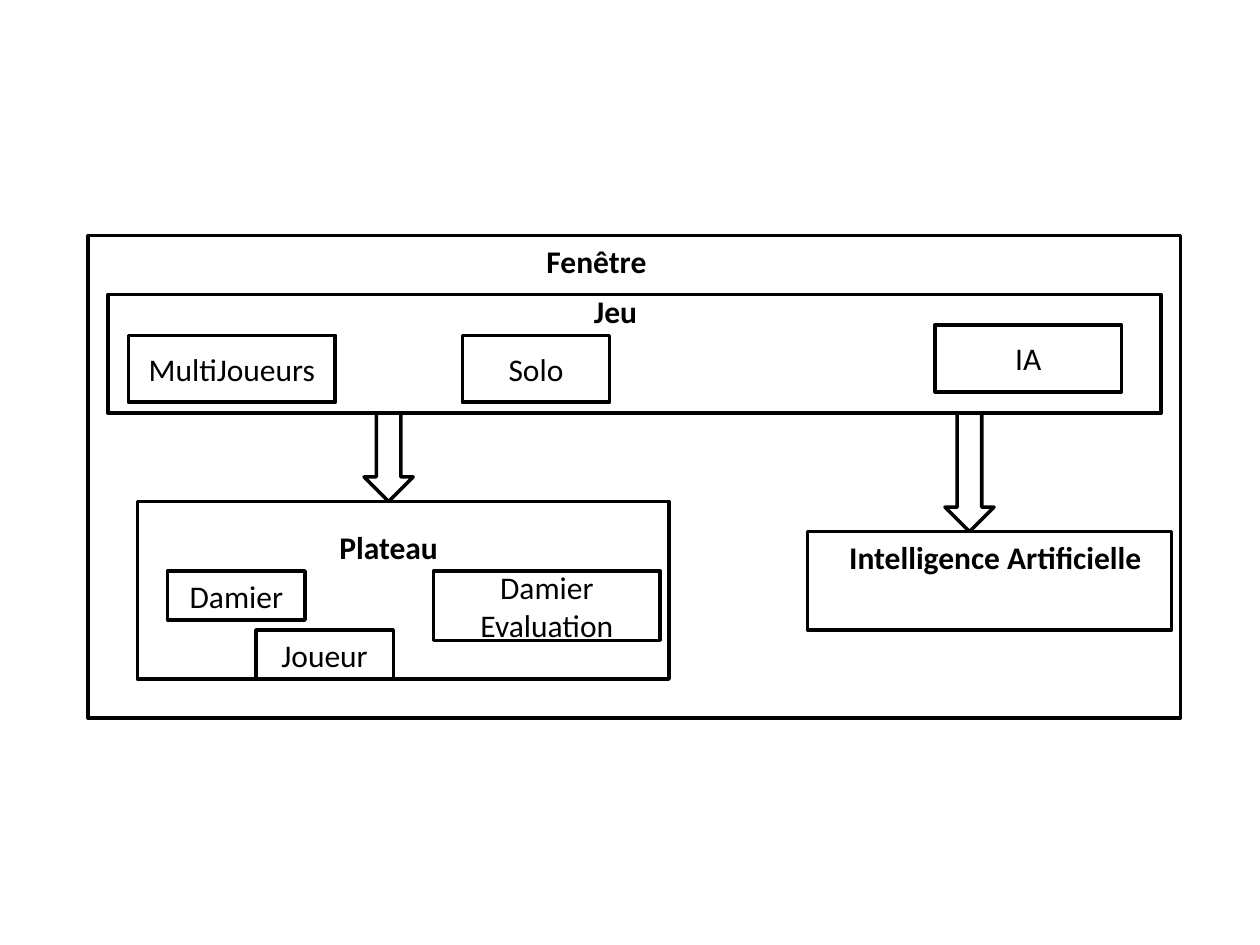
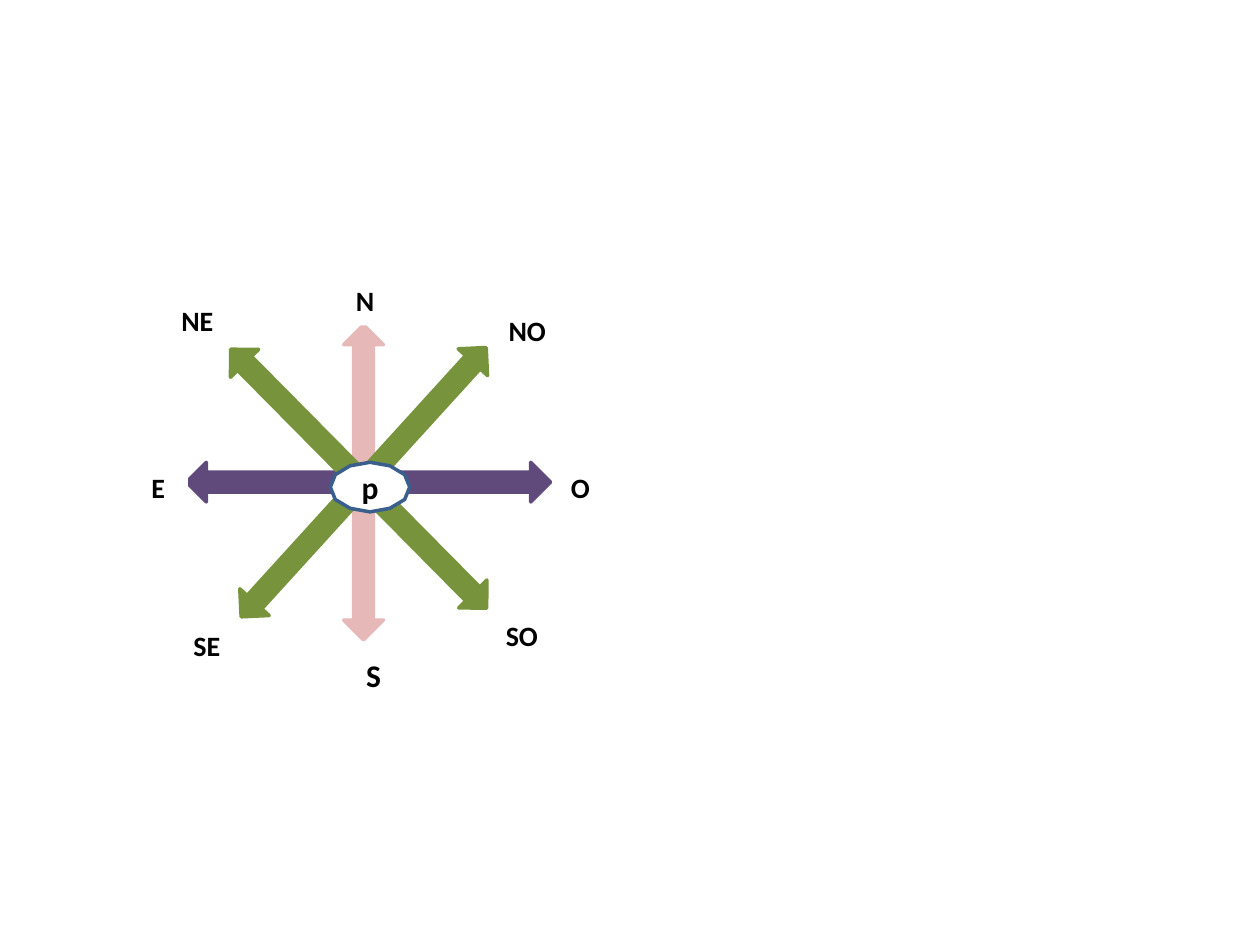
from pptx import Presentation
from pptx.dml.color import RGBColor
from pptx.enum.shapes import MSO_SHAPE
from pptx.enum.text import MSO_ANCHOR, PP_ALIGN
from pptx.util import Cm, Pt

BLACK, WHITE = "000000", "FFFFFF"
PURPLE, PINK, GREEN, BLUE = "604A7B", "E6B9B8", "77933C", "3A5F8C"
FONT = "Calibri"
LABEL_W, LABEL_H = 1.2, 1.0
ARROW_LENGTH, ARROW_WIDTH = 7.34, 0.8


def color(value):
    return RGBColor.from_string(value)


def write(tf, text, size=18, bold=False, align=PP_ALIGN.CENTER):
    p = tf.paragraphs[0]
    p.alignment = align
    r = p.add_run()
    r.text = text
    r.font.color.rgb = color(BLACK)
    for name, value in {"name": FONT, "size": Pt(size), "bold": bold}.items():
        setattr(r.font, name, value)


def add_figure(s, kind, box, fill=WHITE, line=BLACK, rotation=0):
    """Draw a preset shape; box is left, top, width, height in cm."""
    sp = s.shapes.add_shape(kind, *map(Cm, box))
    sp.shadow.inherit = False
    sp.rotation = rotation
    if fill:
        sp.fill.solid()
        sp.fill.fore_color.rgb = color(fill)
    else:
        sp.fill.background()
    if line:
        sp.line.color.rgb = color(line)
        sp.line.width = Pt(2)
    else:
        sp.line.fill.background()
    return sp


def add_node(s, box, text, size=18, bold=False, kind=MSO_SHAPE.RECTANGLE, **look):
    """Draw a shape with its text in the middle."""
    sp = add_figure(s, kind, box, **look)
    tf = sp.text_frame
    settings = {"margin_left": 0, "margin_right": 0, "margin_top": 0,
                "margin_bottom": 0, "word_wrap": True,
                "vertical_anchor": MSO_ANCHOR.MIDDLE}
    for name, value in settings.items():
        setattr(tf, name, value)
    write(tf, text, size, bold)
    return sp


def add_heading(s, left, top, width, text, align=PP_ALIGN.CENTER):
    tf = s.shapes.add_textbox(Cm(left), Cm(top), Cm(width), Cm(1.02)).text_frame
    tf.word_wrap = True
    write(tf, text, bold=True, align=align)


def build_architecture(s):
    # Window and game frames
    add_figure(s, MSO_SHAPE.RECTANGLE, (1.78, 4.75, 22.02, 9.73))
    add_heading(s, 8.85, 4.75, 6.35, "Fenêtre")
    add_figure(s, MSO_SHAPE.RECTANGLE, (2.18, 5.94, 21.23, 2.39))
    add_heading(s, 9.73, 5.77, 5.36, "Jeu")

    # Game modes
    for left, top, width, text in ((2.59, 6.76, 4.17, "MultiJoueurs"),
                                   (9.32, 6.76, 2.97, "Solo"),
                                   (18.85, 6.55, 3.76, "IA")):
        add_node(s, (left, top, width, 1.35), text)

    # Board and artificial intelligence modules
    add_figure(s, MSO_SHAPE.RECTANGLE, (2.77, 10.11, 10.72, 3.58))
    add_heading(s, 6.35, 10.52, 2.97, "Plateau")
    for box, text in (((3.38, 11.51, 2.77, 0.99), "Damier"),
                      ((8.74, 11.51, 4.57, 1.4), "Damier Evaluation"),
                      ((5.16, 12.7, 2.77, 0.99), "Joueur")):
        add_node(s, box, text)
    add_figure(s, MSO_SHAPE.RECTANGLE, (16.28, 10.72, 7.34, 1.98))
    add_heading(s, 16.87, 10.72, 6.76, "Intelligence Artificielle", PP_ALIGN.LEFT)

    # Arrows from the game down to its modules
    for left, height in ((7.34, 1.78), (19.05, 2.39)):
        add_figure(s, MSO_SHAPE.DOWN_ARROW, (left, 8.33, 0.99, height))


def build_compass(s):
    # Axes
    horizontal = MSO_SHAPE.LEFT_RIGHT_ARROW
    add_figure(s, horizontal, (3.76, 9.32, ARROW_LENGTH, ARROW_WIDTH), PURPLE, PURPLE)
    add_figure(s, MSO_SHAPE.UP_DOWN_ARROW, (6.93, 6.55, ARROW_WIDTH, 6.35), PINK, PINK)
    for left, top, rotation in ((3.56, 9.25, 45.3), (3.66, 9.32, 132.3)):
        add_figure(s, horizontal, (left, top, ARROW_LENGTH, ARROW_WIDTH),
                   GREEN, GREEN, rotation)

    # Direction labels
    for left, top, text, size, fill in (
            (6.76, 5.56, "N", 16, WHITE), (6.93, 13.1, "S", 18, WHITE),
            (2.59, 9.32, "E", 16, WHITE), (11.1, 9.32, "O", 16, None),
            (9.92, 12.3, "SO", 16, WHITE), (3.57, 12.5, "SE", 16, WHITE),
            (3.38, 5.95, "NE", 16, WHITE), (10.03, 6.15, "NO", 16, None)):
        add_node(s, (left, top, LABEL_W, LABEL_H), text, size, True,
                 fill=fill, line=None)

    # Centre point
    star = add_node(s, (6.76, 9.32, 1.4, 1.0), "p", bold=True,
                    kind=MSO_SHAPE.STAR_6_POINT, line=BLUE)
    star.adjustments[0] = 0.495


def main():
    prs = Presentation()
    prs.slide_width, prs.slide_height = Cm(25.4), Cm(19.05)
    blank = prs.slide_layouts[6]
    for build in (build_architecture, build_compass):
        build(prs.slides.add_slide(blank))
    prs.save("out.pptx")


if __name__ == "__main__":
    main()
